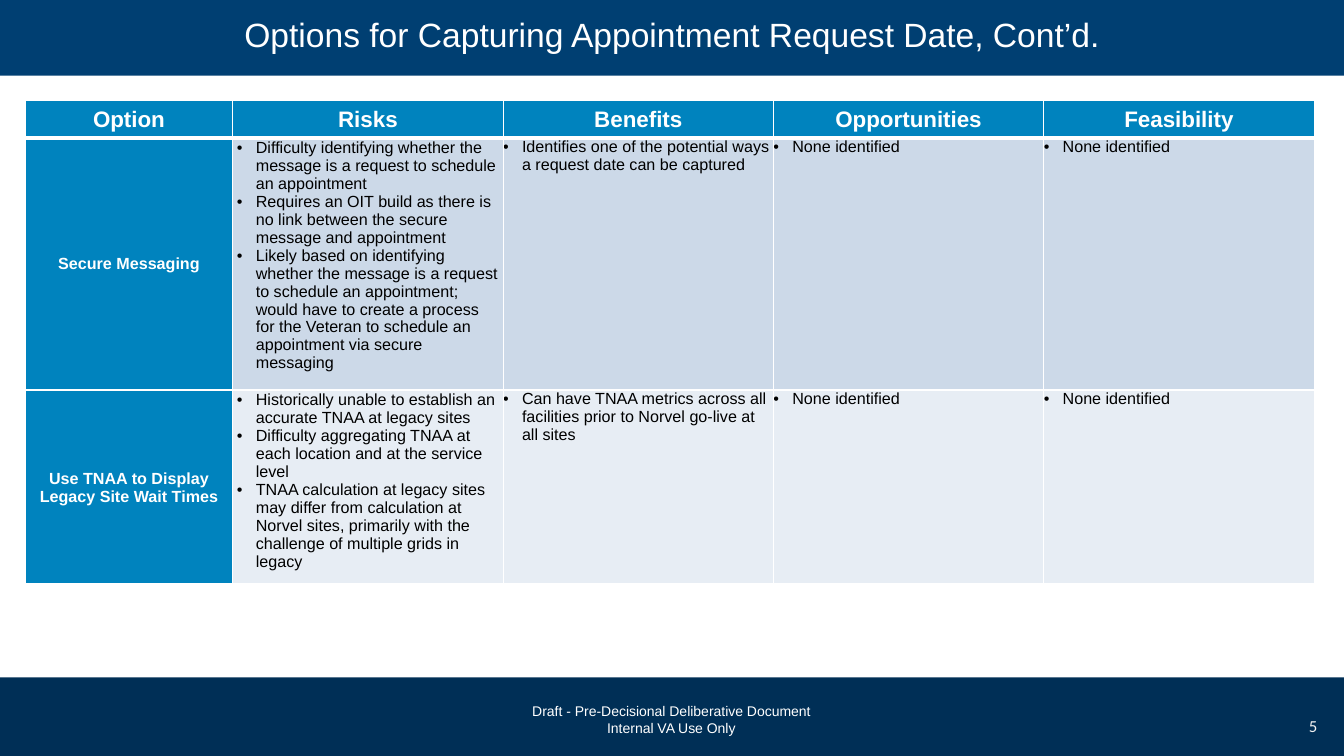
from lxml.etree import SubElement
from pptx import Presentation
from pptx.dml.color import RGBColor
from pptx.enum.shapes import MSO_SHAPE
from pptx.enum.text import MSO_ANCHOR, PP_ALIGN
from pptx.oxml import parse_xml
from pptx.oxml.ns import nsdecls, qn
from pptx.util import Pt

# Content
TITLE = "Options for Capturing Appointment Request Date, Cont’d."
FOOTER = ["Draft - Pre-Decisional Deliberative Document", "Internal VA Use Only"]
NUMBER = "5"
HEADS = ["Option", "Risks", "Benefits", "Opportunities", "Feasibility"]
NONE = ["None identified"]
ROWS = [
    ("Secure Messaging", [
        ["Difficulty identifying whether the message is a request to schedule an appointment",
         "Requires an OIT build as there is no link between the secure message and appointment",
         "Likely based on identifying whether the message is a request to schedule an "
         "appointment; would have to create a process for the Veteran to schedule an "
         "appointment via secure messaging"],
        ["Identifies one of the potential ways a request date can be captured"],
        NONE, NONE]),
    ("Use TNAA to Display Legacy Site Wait Times", [
        ["Historically unable to establish an accurate TNAA at legacy sites",
         "Difficulty aggregating TNAA at each location and at the service level",
         "TNAA calculation at legacy sites may differ from calculation at Norvel sites, "
         "primarily with the challenge of multiple grids in legacy"],
        ["Can have TNAA metrics across all facilities prior to Norvel go-live at all sites"],
        NONE, NONE]),
]

# Look
HEX = {"white": "FFFFFF", "black": "000000", "pale": "F2F2F2", "title": "003F72",
       "foot": "002F56", "head": "0083BE", "odd": "CCD9E8", "even": "E7EDF4"}
WIDTHS = [148.3] + [193.1] * 4
HEIGHTS = [26, 168, 129]
SIDES = ["left", "top", "right", "bottom"]
WIDE, SNUG, TIGHT = (7.2, 3.6, 7.2, 3.6), (3, 0.6, 3, 0), (0, 0, 0, 0)
LABEL = {"name": "Arial", "size": Pt(11.5), "bold": True}
BODY = {**LABEL, "bold": False}
HEAD = {**LABEL, "size": Pt(16)}


def tint(name):
    return RGBColor.from_string(HEX[name])


def paint(item, color):
    item.fill.solid()
    item.fill.fore_color.rgb = tint(color)


def write(frame, lines, font, color, align, bullet=False):
    for i, line in enumerate(lines):
        para = frame.paragraphs[0] if i == 0 else frame.add_paragraph()
        para.alignment = align
        if bullet:
            props = para._p.get_or_add_pPr()
            props.set("marL", str(Pt(13.5)))
            props.set("indent", str(-Pt(13.5)))
            SubElement(props, qn("a:buFont"), typeface="Arial")
            SubElement(props, qn("a:buChar"), char="•")
        run = para.add_run()
        run.text = line
        for key, value in font.items():
            setattr(run.font, key, value)
        run.font.color.rgb = tint(color)


def edge(cell, base):
    props = cell._tc.get_or_add_tcPr()
    for i, side in enumerate("LRTB"):
        width = Pt(base if side == "B" else 1)
        props.insert(i, parse_xml(
            f'<a:ln{side} {nsdecls("a")} w="{width}"><a:solidFill>'
            f'<a:srgbClr val="{HEX["white"]}"/></a:solidFill></a:ln{side}>'))


def fill_cell(cell, lines, fill, inset, font, color, bullet=False, base=1):
    for side, gap in zip(SIDES, inset):
        setattr(cell, "margin_" + side, Pt(gap))
    cell.vertical_anchor = MSO_ANCHOR.TOP if bullet else MSO_ANCHOR.MIDDLE
    paint(cell, fill)
    edge(cell, base)
    align = PP_ALIGN.LEFT if bullet else PP_ALIGN.CENTER
    write(cell.text_frame, lines, font, color, align, bullet)


def add_note(box, lines, font, color, align, anchor):
    frame = slide.shapes.add_textbox(*map(Pt, box)).text_frame
    frame.word_wrap = True
    frame.vertical_anchor = anchor
    write(frame, lines, font, color, align)


deck = Presentation()
deck.slide_width, deck.slide_height = Pt(960), Pt(540)
slide = deck.slides.add_slide(deck.slide_layouts[5])

# Footer band, footer text and page number
band = slide.shapes.add_shape(MSO_SHAPE.RECTANGLE, 0, Pt(483.8), Pt(960), Pt(56.2))
band.shadow.inherit = False
paint(band, "foot")
band.line.fill.background()
add_note((318.2, 498.2, 322.6, 28.8), FOOTER, {"name": "Arial", "size": Pt(10)},
         "white", PP_ALIGN.CENTER, MSO_ANCHOR.TOP)
add_note((732.2, 504, 216, 28.8), [NUMBER], {"name": "Calibri", "size": Pt(12)},
         "pale", PP_ALIGN.RIGHT, MSO_ANCHOR.MIDDLE)

# Title bar
title = slide.shapes.title
place = {"left": Pt(0), "top": Pt(-6), "width": Pt(960), "height": Pt(60)}
for key, value in place.items():
    setattr(title, key, value)
paint(title, "title")
title.text_frame.vertical_anchor = MSO_ANCHOR.MIDDLE
write(title.text_frame, [TITLE], {"name": "Arial", "size": Pt(24)}, "white", PP_ALIGN.CENTER)

# Options table
table = slide.shapes.add_table(len(HEIGHTS), len(WIDTHS), Pt(18), Pt(72),
                               Pt(sum(WIDTHS)), Pt(sum(HEIGHTS))).table
for col, width in zip(table.columns, WIDTHS):
    col.width = Pt(width)
for row, height in zip(table.rows, HEIGHTS):
    row.height = Pt(height)
for c, head in enumerate(HEADS):
    fill_cell(table.cell(0, c), [head], "head", WIDE if c < 2 else TIGHT, HEAD, "white", base=3)
for r, (option, lists) in enumerate(ROWS, 1):
    fill_cell(table.cell(r, 0), [option], "head", SNUG, LABEL, "white")
    for c, lines in enumerate(lists, 1):
        fill_cell(table.cell(r, c), lines, "odd" if r % 2 else "even",
                  SNUG if c == 1 else TIGHT, BODY, "black", bullet=True)

deck.save("out.pptx")
